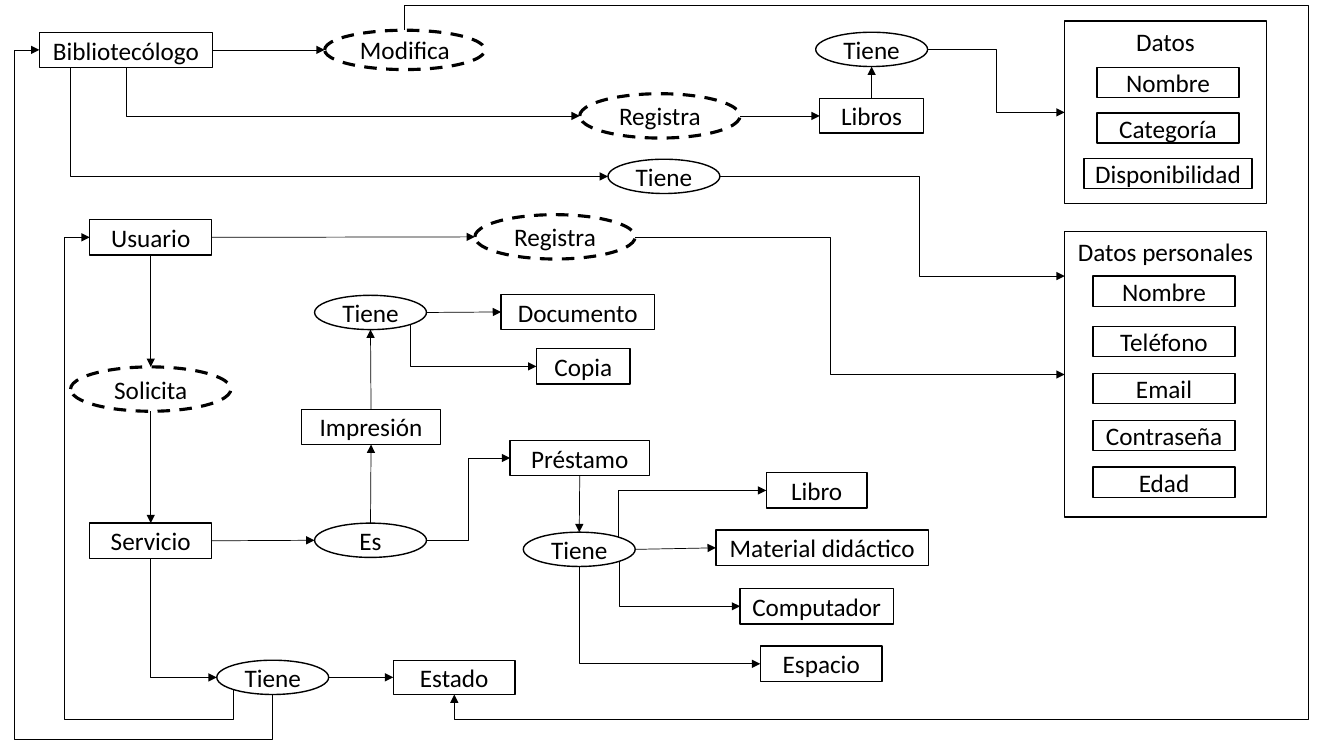
from dataclasses import dataclass
from typing import Optional

from pptx import Presentation
from pptx.dml.color import RGBColor
from pptx.enum.dml import MSO_LINE
from pptx.enum.shapes import MSO_CONNECTOR, MSO_SHAPE
from pptx.enum.text import MSO_ANCHOR, PP_ALIGN
from pptx.oxml.ns import qn
from pptx.slide import Slide
from pptx.util import Inches, Pt

COLORS = {"ink": "000000", "paper": "FFFFFF"}
FONT_FORMAT = {"name": "Calibri", "size": Pt(18)}
DIAGONAL = 0.146
SIDES = {
    "top": (0.5, 0),
    "bottom": (0.5, 1),
    "left": (0, 0.5),
    "right": (1, 0.5),
    "top right": (1 - DIAGONAL, DIAGONAL),
    "bottom right": (1 - DIAGONAL, 1 - DIAGONAL),
    "bottom left": (DIAGONAL, 1 - DIAGONAL),
    "bottom near left": (0.18, 1),
    "left near top": (0, 0.155),
}


@dataclass(frozen=True)
class Kind:
    outline: MSO_SHAPE
    width: float
    height: float
    line_format: dict
    anchor: MSO_ANCHOR = MSO_ANCHOR.MIDDLE


THIN = {"width": Pt(1)}
DASHED = {"width": Pt(2.25), "dash_style": MSO_LINE.DASH}
ENTITY = Kind(MSO_SHAPE.RECTANGLE, 1.21, 0.35, THIN)
FIELD = Kind(MSO_SHAPE.RECTANGLE, 1.41, 0.3, THIN)
GROUP = Kind(MSO_SHAPE.RECTANGLE, 2, 2.83, THIN, MSO_ANCHOR.TOP)
RELATION = Kind(MSO_SHAPE.OVAL, 1.11, 0.34, THIN)
ACTION = Kind(MSO_SHAPE.OVAL, 1.59, 0.44, DASHED)


@dataclass(frozen=True)
class Node:
    key: str
    text: str
    kind: Kind
    left: float
    top: float
    width: Optional[float] = None
    height: Optional[float] = None

    def size(self) -> tuple[float, float]:
        return self.width or self.kind.width, self.height or self.kind.height

    def point(self, side: str) -> tuple[float, float]:
        width, height = self.size()
        across, down = SIDES[side]
        return self.left + across * width, self.top + down * height


@dataclass(frozen=True)
class Link:
    source: str
    source_side: str
    target: str
    target_side: str
    turns: Optional[tuple[float, ...]] = None


NODES = [
    Node("librarian", "Bibliotecólogo", ENTITY, 0.39, 0.32, 1.72),
    Node("modifies", "Modifica", ACTION, 3.22, 0.3, height=0.39),
    Node("librarian has", "Tiene", RELATION, 6.03, 1.58),
    Node("personal data", "Datos personales", GROUP, 10.56, 2.3),
    Node("registers books", "Registra", ACTION, 5.75, 0.93),
    Node("books", "Libros", ENTITY, 8.13, 0.98, 1.03, 0.34),
    Node("books have", "Tiene", RELATION, 8.09, 0.32),
    Node("book data", "Datos", GROUP, 10.56, 0.21, height=1.81),
    Node("user", "Usuario", ENTITY, 0.89, 2.18),
    Node("user registers", "Registra", ACTION, 4.71, 2.13),
    Node("requests", "Solicita", ACTION, 0.7, 3.64),
    Node("service", "Servicio", ENTITY, 0.89, 5.19),
    Node("service has", "Tiene", RELATION, 2.15, 6.55),
    Node("state", "Estado", ENTITY, 3.9, 6.55, height=0.34),
    Node("is", "Es", RELATION, 3.12, 5.19),
    Node("printing", "Impresión", ENTITY, 2.99, 4.06, 1.38),
    Node("printing has", "Tiene", RELATION, 3.12, 2.93),
    Node("document", "Documento", ENTITY, 4.97, 2.92, 1.52),
    Node("photocopy", "Copia", ENTITY, 5.32, 3.46, 0.93),
    Node("loan", "Préstamo", ENTITY, 5.06, 4.37, 1.38),
    Node("loan has", "Tiene", RELATION, 5.19, 5.28),
    Node("book", "Libro", ENTITY, 7.6, 4.69, 1),
    Node("material", "Material didáctico", ENTITY, 7.1, 5.26, 2.11),
    Node("computer", "Computador", ENTITY, 7.34, 5.84, 1.52),
    Node("space", "Espacio", ENTITY, 7.54, 6.41),
    Node("personal name", "Nombre", FIELD, 10.84, 2.74),
    Node("availability", "Disponibilidad", FIELD, 10.75, 1.57, 1.67),
]
NODES += [
    Node(text, text, FIELD, 10.84, 3.24 + 0.465 * row)
    for row, text in enumerate(["Teléfono", "Email", "Contraseña", "Edad"])
]
NODES += [
    Node(text, text, FIELD, 10.88, 0.67 + 0.45 * row)
    for row, text in enumerate(["Nombre", "Categoría"])
]

LINKS = [
    Link("librarian", "right", "modifies", "left"),
    Link("librarian", "bottom near left", "librarian has", "left", ()),
    Link("librarian has", "right", "personal data", "left near top", (9.12,)),
    Link("librarian", "bottom", "registers books", "left", ()),
    Link("registers books", "right", "books", "left"),
    Link("books", "top", "books have", "bottom"),
    Link("books have", "right", "book data", "left", (9.88,)),
    Link("user", "right", "user registers", "left"),
    Link("user registers", "right", "personal data", "left", (8.24,)),
    Link("user", "bottom", "requests", "top"),
    Link("requests", "bottom", "service", "top"),
    Link("service", "bottom", "service has", "left", ()),
    Link("service has", "right", "state", "left"),
    Link("service", "right", "is", "left"),
    Link("is", "top", "printing", "bottom"),
    Link("printing", "top", "printing has", "bottom"),
    Link("printing has", "right", "document", "left"),
    Link("printing has", "bottom right", "photocopy", "left", ()),
    Link("is", "right", "loan", "left", (4.65,)),
    Link("loan", "bottom", "loan has", "top"),
    Link("loan has", "top right", "book", "left", ()),
    Link("loan has", "right", "material", "left"),
    Link("loan has", "bottom right", "computer", "left", ()),
    Link("loan has", "bottom", "space", "left", ()),
    Link("service has", "bottom left", "user", "left", (7.14, 0.64)),
    Link("service has", "bottom", "librarian", "left", (7.33, 0.14)),
    Link("modifies", "top", "state", "bottom", (0.05, 12.97, 7.14)),
]


def apply_format(target: object, values: dict) -> None:
    for name, value in values.items():
        setattr(target, name, value)


def draw_node(slide: Slide, node: Node) -> None:
    box = (node.left, node.top, *node.size())
    shape = slide.shapes.add_shape(node.kind.outline, *map(Inches, box))
    shape.shadow.inherit = False
    shape.fill.solid()
    shape.fill.fore_color.rgb = RGBColor.from_string(COLORS["paper"])
    shape.line.color.rgb = RGBColor.from_string(COLORS["ink"])
    apply_format(shape.line, node.kind.line_format)
    shape.text_frame.vertical_anchor = node.kind.anchor
    paragraph = shape.text_frame.paragraphs[0]
    paragraph.alignment = PP_ALIGN.CENTER
    run = paragraph.add_run()
    run.text = node.text
    run.font.color.rgb = RGBColor.from_string(COLORS["ink"])
    apply_format(run.font, FONT_FORMAT)


def bend(connector: object, link: Link, start: tuple, end: tuple) -> None:
    vertical = link.source_side != "right"
    first, second = (1, 0) if vertical else (0, 1)
    delta = [end[axis] - start[axis] for axis in (first, second)]
    width, height = map(abs, delta)
    box = {
        "left": Inches((start[0] + end[0] - width) / 2),
        "top": Inches((start[1] + end[1] - height) / 2),
        "width": Inches(width),
        "height": Inches(height),
    }
    apply_format(connector, box)
    properties = connector.element.spPr
    frame = properties.find(qn("a:xfrm"))
    frame.set("rot", str(270 * 60000 if vertical else 0))
    frame.set("flipH", str(int((delta[0] < 0) != vertical)))
    frame.set("flipV", str(int(delta[1] < 0)))
    geometry = properties.find(qn("a:prstGeom"))
    geometry.set("prst", f"bentConnector{len(link.turns) + 2}")
    guides = geometry.get_or_add_avLst()
    for index, turn in enumerate(link.turns):
        axis = (first, second)[index % 2]
        share = (turn - start[axis]) / delta[index % 2]
        guide = guides.makeelement(qn("a:gd"), {"name": f"adj{index + 1}", "fmla": f"val {round(share * 100000)}"})
        guides.append(guide)


def draw_link(slide: Slide, link: Link, nodes: dict[str, Node]) -> None:
    start = nodes[link.source].point(link.source_side)
    end = nodes[link.target].point(link.target_side)
    style = MSO_CONNECTOR.STRAIGHT if link.turns is None else MSO_CONNECTOR.ELBOW
    connector = slide.shapes.add_connector(style, *map(Inches, start + end))
    if link.turns is not None:
        bend(connector, link, start, end)
    connector.line.color.rgb = RGBColor.from_string(COLORS["ink"])
    connector.line.width = Pt(0.5)
    outline = connector.line._get_or_add_ln()
    outline.append(outline.makeelement(qn("a:tailEnd"), {"type": "triangle"}))
    properties = connector.element.spPr
    properties.append(properties.makeelement(qn("a:effectLst"), {}))


def main() -> None:
    presentation = Presentation()
    apply_format(presentation, {"slide_width": Inches(13.33), "slide_height": Inches(7.5)})
    slide = presentation.slides.add_slide(presentation.slide_layouts[6])
    for node in NODES:
        draw_node(slide, node)
    nodes = {node.key: node for node in NODES}
    for link in LINKS:
        draw_link(slide, link, nodes)
    presentation.save("out.pptx")


if __name__ == "__main__":
    main()
